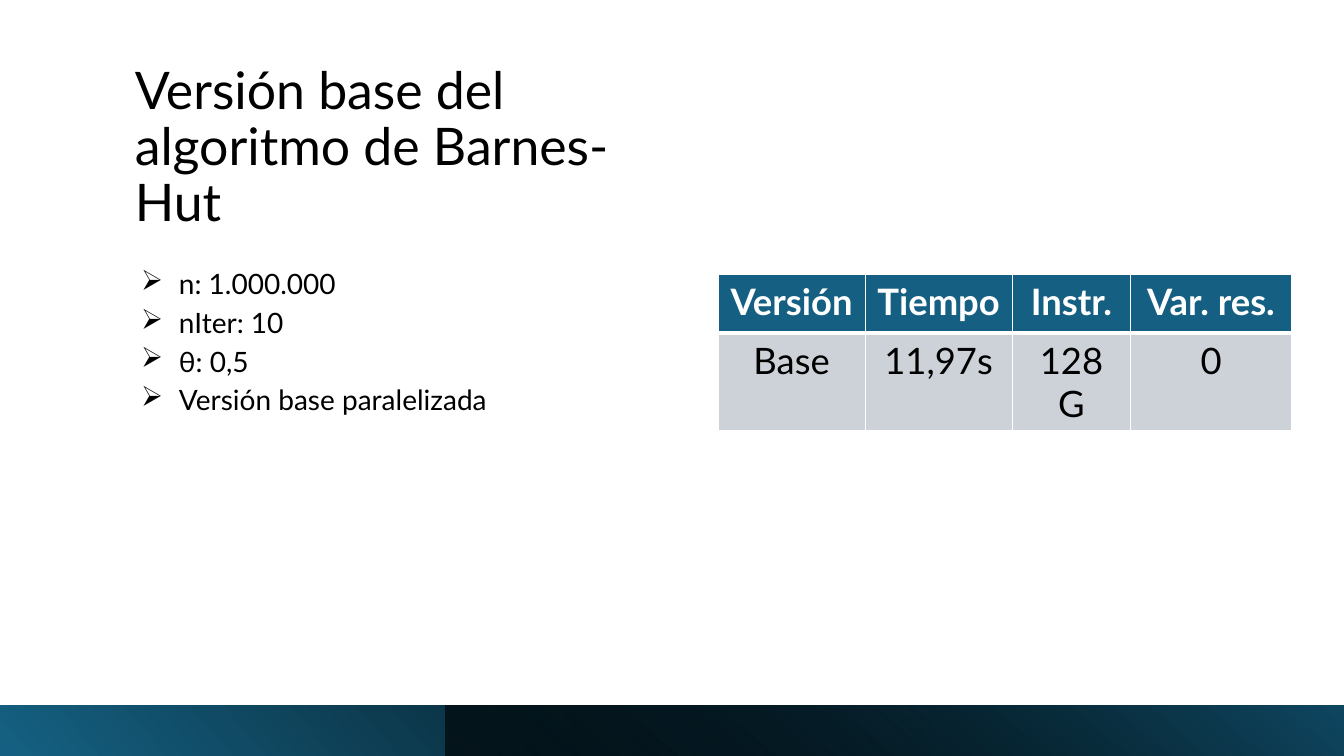
from lxml.etree import SubElement
from pptx import Presentation
from pptx.dml.color import RGBColor
from pptx.enum.shapes import MSO_SHAPE
from pptx.enum.text import MSO_ANCHOR, PP_ALIGN
from pptx.oxml.ns import qn
from pptx.util import Pt

PX = 9525
FONT = "Lato"
COLORS = {"blue": "156082", "deep": "104862", "black": "000000",
          "white": "FFFFFF", "gray": "CCD2D8"}
SETTINGS = ["n: 1.000.000", "nIter: 10", "θ: 0,5", "Versión base paralelizada"]
RESULTS = [["Versión", "Tiempo", "Instr.", "Var. res."],
           ["Base", "11,97s", "128 G", "0"]]
COLUMN_WIDTHS = [140, 140, 113, 153]
ROW_HEIGHT = 56


def emu(*lengths):
    return [length * PX for length in lengths]


def rgb(name):
    return RGBColor.from_string(COLORS[name])


def add_run(paragraph, text, size, color="black", bold=False):
    run = paragraph.add_run()
    run.text = text
    run.font.name = FONT
    run.font.size = Pt(size)
    run.font.bold = bold
    run.font.color.rgb = rgb(color)


def add_text_frame(slide, box, anchor):
    frame = slide.shapes.add_textbox(*emu(*box)).text_frame
    frame.word_wrap = True
    frame.vertical_anchor = anchor
    return frame


def add_title(slide, box, text):
    paragraph = add_text_frame(slide, box, MSO_ANCHOR.BOTTOM).paragraphs[0]
    paragraph.line_spacing = 0.9
    add_run(paragraph, text, 37)


def add_settings(slide, box, items):
    frame = add_text_frame(slide, box, MSO_ANCHOR.TOP)
    for index, item in enumerate(items):
        paragraph = frame.add_paragraph() if index else frame.paragraphs[0]
        paragraph.line_spacing = 0.9
        paragraph.space_after = Pt(6)
        properties = paragraph._p.get_or_add_pPr()
        properties.set("marL", str(42 * PX))
        properties.set("indent", str(-36 * PX))
        SubElement(properties, qn("a:buChar"), char="➢")
        add_run(paragraph, item, 20)


def add_gradient_bar(slide, box, stops, angle, rotation=0):
    """Add a mirrored bar; each stop is (position, color, opacity percent)."""
    bar = slide.shapes.add_shape(MSO_SHAPE.RECTANGLE, *emu(*box))
    bar.shadow.inherit = False
    bar.line.fill.background()
    bar.rotation = rotation
    bar.element.spPr.find(qn("a:xfrm")).set("flipH", "1")
    bar.fill.gradient()
    bar.fill.gradient_angle = 360 - angle
    for stop, (position, color, _) in zip(bar.fill.gradient_stops, stops):
        stop.position = position
        stop.color.rgb = rgb(color)
    tones = bar.element.spPr.find(qn("a:gradFill")).iter(qn("a:srgbClr"))
    for tone, (_, _, opacity) in zip(tones, stops):
        if opacity < 100:
            SubElement(tone, qn("a:alpha"), val=str(opacity * 1000))


def add_footer(slide, box):
    left, top, width, height = box
    split = 424
    add_gradient_bar(slide, box, [(0, "blue", 100), (0.78, "black", 100)], 40, 180)
    add_gradient_bar(slide, (left + split, top, width - split, height),
                     [(0, "black", 63), (1, "deep", 100)], 230)


def set_borders(cell, widths):
    properties = cell._tc.get_or_add_tcPr()
    for side, width in widths.items():
        line = SubElement(properties, qn(f"a:ln{side}"), w=str(Pt(width)))
        fill = SubElement(line, qn("a:solidFill"))
        SubElement(fill, qn("a:srgbClr"), val=COLORS["white"])


def fill_cell(cell, text, is_header):
    cell.margin_left = cell.margin_right = 10 * PX
    cell.margin_top = cell.margin_bottom = 5 * PX
    thick_side = "B" if is_header else "T"
    set_borders(cell, {side: 3 if side == thick_side else 1 for side in "LRTB"})
    cell.fill.solid()
    cell.fill.fore_color.rgb = rgb("blue" if is_header else "gray")
    paragraph = cell.text_frame.paragraphs[0]
    paragraph.alignment = PP_ALIGN.CENTER
    add_run(paragraph, text, 26, "white" if is_header else "black", is_header)


def add_results(slide, left, top, rows):
    size = emu(left, top, sum(COLUMN_WIDTHS), ROW_HEIGHT * len(rows))
    table = slide.shapes.add_table(len(rows), len(COLUMN_WIDTHS), *size).table
    for column, width in zip(table.columns, COLUMN_WIDTHS):
        column.width = width * PX
    for row_index, texts in enumerate(rows):
        table.rows[row_index].height = ROW_HEIGHT * PX
        for column_index, text in enumerate(texts):
            fill_cell(table.cell(row_index, column_index), text, row_index == 0)


def main():
    presentation = Presentation()
    presentation.slide_width, presentation.slide_height = emu(1280, 720)
    slide = presentation.slides.add_slide(presentation.slide_layouts[6])
    slide.background.fill.solid()
    slide.background.fill.fore_color.rgb = rgb("white")
    add_title(slide, (119, 53, 520, 173), "Versión base del algoritmo de Barnes-Hut")
    add_settings(slide, (119, 253, 520, 370), SETTINGS)
    add_footer(slide, (0, 672, 1280, 48))
    add_results(slide, 684, 261, RESULTS)
    presentation.save("out.pptx")


if __name__ == "__main__":
    main()
